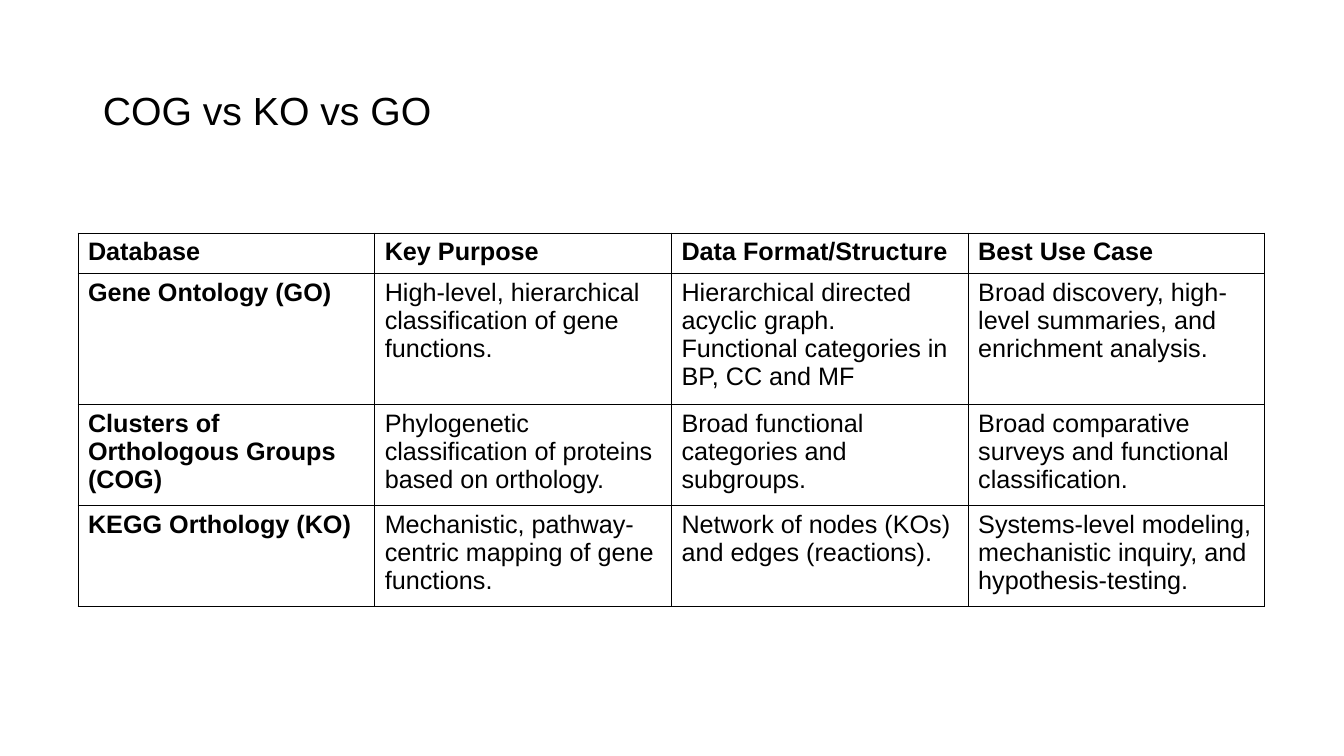
from lxml.etree import SubElement
from pptx import Presentation
from pptx.dml.color import RGBColor
from pptx.enum.text import MSO_ANCHOR
from pptx.oxml.ns import qn
from pptx.util import Pt

EMU_PER_PX = 914400 / 100.8
FONT = "Arial"
COLORS = {"text": "000000", "border": "000000"}
ROW_HEIGHTS = [38, 123, 95, 95]
COMPARISON = [
    ["Database", "Key Purpose", "Data Format/Structure", "Best Use Case"],
    ["Gene Ontology (GO)",
     "High-level, hierarchical classification of gene functions.",
     "Hierarchical directed acyclic graph. Functional categories in BP, CC and MF",
     "Broad discovery, high-level summaries, and enrichment analysis."],
    ["Clusters of Orthologous Groups (COG)",
     "Phylogenetic classification of proteins based on orthology.",
     "Broad functional categories and subgroups.",
     "Broad comparative surveys and functional classification."],
    ["KEGG Orthology (KO)",
     "Mechanistic, pathway-centric mapping of gene functions.",
     "Network of nodes (KOs) and edges (reactions).",
     "Systems-level modeling, mechanistic inquiry, and hypothesis-testing."],
]


def px(length):
    return round(length * EMU_PER_PX)


def style(para, size, bold=False):
    para.font.name = FONT
    para.font.size = Pt(size)
    para.font.bold = bold
    para.font.color.rgb = RGBColor.from_string(COLORS["text"])


def add_borders(cell):
    properties = cell._tc.get_or_add_tcPr()
    for side in ("lnL", "lnR", "lnT", "lnB"):
        line = SubElement(properties, qn(f"a:{side}"), w=str(Pt(0.75)))
        fill = SubElement(line, qn("a:solidFill"))
        SubElement(fill, qn("a:srgbClr"), val=COLORS["border"])


def add_title(page, text, left, top, width, height):
    box = page.shapes.add_textbox(px(left), px(top), px(width), px(height))
    frame = box.text_frame
    frame.word_wrap = True
    frame.vertical_anchor = MSO_ANCHOR.MIDDLE
    para = frame.paragraphs[0]
    para.text = text
    para.line_spacing = 0.9
    style(para, 28)


def add_comparison(page, rows, left, top, width):
    table = page.shapes.add_table(
        len(rows), len(rows[0]), px(left), px(top), px(width), px(sum(ROW_HEIGHTS))
    ).table
    table.horz_banding = False
    for row, height in zip(table.rows, ROW_HEIGHTS):
        row.height = px(height)
    for row_index, texts in enumerate(rows):
        for column_index, text in enumerate(texts):
            cell = table.cell(row_index, column_index)
            cell.text = text
            is_heading = row_index == 0 or column_index == 0
            style(cell.text_frame.paragraphs[0], 18, is_heading)
            add_borders(cell)
            cell.fill.background()


def main():
    deck = Presentation()
    deck.slide_width, deck.slide_height = px(1344), px(756)
    page = deck.slides.add_slide(deck.slide_layouts[6])
    add_title(page, "COG vs KO vs GO", 93, 40, 1159, 146)
    add_comparison(page, COMPARISON, 78, 233, 1187)
    deck.save("out.pptx")


if __name__ == "__main__":
    main()
